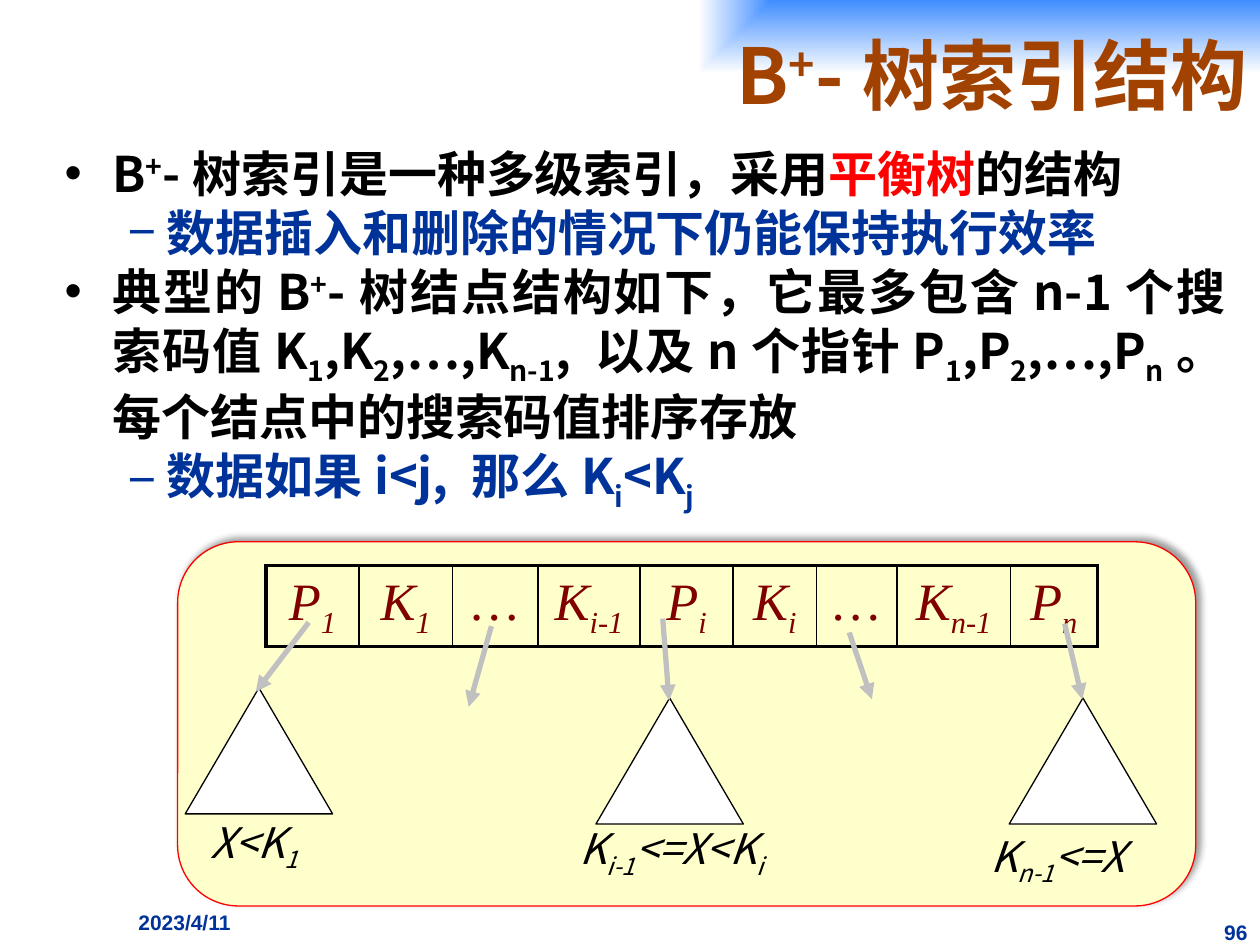
import pptx
import pptx.util
import pptx.dml.color
import pptx.enum.shapes
import pptx.enum.text
import pptx.oxml
import pptx.oxml.ns

SHAPE = pptx.enum.shapes.MSO_SHAPE
ALIGN = pptx.enum.text.PP_ALIGN
ANCHOR = pptx.enum.text.MSO_ANCHOR
AUTO_SIZE = pptx.enum.text.MSO_AUTO_SIZE
NAMESPACE = pptx.oxml.ns.nsdecls("a")

COLUMNS, ROWS = 100, 75
CELL = pptx.util.Inches(10) / COLUMNS

THEME = {
    "title": {"size": 44, "name": "Noto Sans CJK JP", "bold": True, "color": "A24200"},
    "body": {"size": 28, "name": "Noto Sans CJK JP", "bold": True, "color": "000000"},
    "detail": {"size": 28, "name": "Noto Sans CJK JP", "bold": True, "color": "003399"},
    "key": {"size": 30, "name": "Times New Roman", "italic": True, "color": "800000"},
    "range": {"size": 24, "name": "Noto Sans CJK SC", "italic": True, "color": "000000"},
    "footer": {"size": 12, "name": "Arial", "bold": True, "color": "003399"},
    "emphasis": "FF0000",
    "panel": "FFFFCC",
    "paper": "FFFFFF",
    "ink": "000000",
    "arrow": "C0C0C0",
    "banner": "3F8DFF",
}

# A run that starts with one of these marks departs from its paragraph's style.
BASELINES = {"^": "30000", "_": "-25000"}
VARIANTS = {"!": {"color": THEME["emphasis"]}, "~": {"name": "Noto Sans CJK SC"}}

BULLETS = [
    ("body", "B|^+|-树索引是一种多级索引，采用|!平衡树|的结构"),
    ("detail", "数据插入和删除的情况下仍能保持执行效率"),
    ("body", "典型的B|^+|-树结点结构如下，它最多包含n-1个搜索码值K|_1|,K|_2|,…,K|_n-1"
             "|, 以及n个指针P|_1|,P|_2|,…,P|_n|。每个结点中的搜索码值排序存放"),
    ("detail", "数据如果i<j, 那么K|_i|<K|_j"),
]
BULLET_FORMATS = {"body": (0, 0.38, -0.38, "•"), "detail": (1, 0.81, -0.31, "−")}

NODE_KEYS = ["P|_1", "K|_1", "…", "K|_i-1", "P|_i", "K|_i", "…", "K|_n-1", "P|_n"]
NODE_WIDTHS = [7.4, 7.4, 6.8, 8.1, 7.4, 6.6, 6.4, 9, 6.9]
SUBTREES = [(14.7, 54.6), (47.3, 55.4), (80.1, 55.4)]
RANGES = [
    ("X<K|_1", (15.7, 64.3, 14.2, 5)),
    ("K|_i-1|<=X<K|_i", (45, 64.8, 20.6, 5)),
    ("K|_n-1|<=X", (77.6, 65.4, 15.8, 5)),
]
POINTERS = [
    (24.5, 49.4, 20.3, 54.9),
    (52.6, 49.1, 53.1, 55.6),
    (84.5, 49.5, 85.9, 55.5),
    (39, 49.7, 37.2, 56.1),
    (67.4, 50.2, 69.2, 55.5),
]


def grid(*lengths):
    """Turn grid columns or rows into slide lengths."""
    return [round(length * CELL) for length in lengths]


def rgb(color):
    return pptx.dml.color.RGBColor.from_string(color)


def xml(markup):
    """Parse one element whose tag is in the drawing namespace."""
    tag_end = min(markup.find(mark) for mark in " />" if mark in markup)
    return pptx.oxml.parse_xml(f"{markup[:tag_end]} {NAMESPACE}{markup[tag_end:]}")


def format_run(run, style):
    values = dict(style)
    run.font.color.rgb = rgb(values.pop("color"))
    values["size"] = pptx.util.Pt(values["size"])
    for name, value in values.items():
        setattr(run.font, name, value)
    run.font._element.append(xml(f'<a:ea typeface="{style["name"]}"/>'))


def write(paragraph, text, style, **formats):
    """Fill a paragraph with runs separated by bars."""
    for name, value in formats.items():
        setattr(paragraph, name, value)
    for piece in text.split("|"):
        mark = piece[0]
        marked = mark in BASELINES or mark in VARIANTS
        run = paragraph.add_run()
        run.text = piece[1:] if marked else piece
        format_run(run, {**style, **VARIANTS.get(mark, {})})
        if mark in BASELINES:
            run.font._element.set("baseline", BASELINES[mark])


def add_text(slide, box, text, style, auto_size=AUTO_SIZE.NONE, **formats):
    frame = slide.shapes.add_textbox(*grid(*box)).text_frame
    frame.word_wrap = True
    frame.auto_size = auto_size
    write(frame.paragraphs[0], text, style, **formats)


def add_title(slide):
    title = slide.shapes.title
    title.left, title.top, title.width, title.height = grid(10.8, 0, 89.2, 11.7)
    title.text_frame.vertical_anchor = ANCHOR.MIDDLE
    title.text_frame.auto_size = AUTO_SIZE.NONE
    write(title.text_frame.paragraphs[0], "B|^+|-树索引|~结构", THEME["title"],
          alignment=ALIGN.RIGHT)
    stops = "".join(
        f'<a:gs pos="{position}"><a:srgbClr val="{color}"/></a:gs>'
        for position, color in ((0, THEME["banner"]), (100000, THEME["paper"])))
    title._element.spPr.append(xml(
        f'<a:gradFill><a:gsLst>{stops}</a:gsLst><a:path path="rect">'
        '<a:fillToRect l="100000" b="100000"/></a:path></a:gradFill>'))


def add_bullets(slide):
    frame = slide.shapes.add_textbox(*grid(4.15, 10.9, 94.1, 57)).text_frame
    frame.word_wrap = True
    for index, (kind, text) in enumerate(BULLETS):
        paragraph = frame.add_paragraph() if index else frame.paragraphs[0]
        level, margin, indent, symbol = BULLET_FORMATS[kind]
        properties = paragraph._p.get_or_add_pPr()
        properties.set("marL", str(pptx.util.Inches(margin)))
        properties.set("indent", str(pptx.util.Inches(indent)))
        for markup in (
                f'<a:buClr><a:srgbClr val="{THEME[kind]["color"]}"/></a:buClr>',
                '<a:buFont typeface="Arial"/>',
                f'<a:buChar char="{symbol}"/>'):
            properties.append(xml(markup))
        write(paragraph, text, THEME[kind], level=level, alignment=ALIGN.JUSTIFY)


def add_outlined(slide, kind, box, fill, line):
    shape = slide.shapes.add_shape(kind, *grid(*box))
    shape.shadow.inherit = False
    shape.fill.solid()
    shape.fill.fore_color.rgb = rgb(fill)
    shape.line.color.rgb = rgb(line)
    shape.line.width = pptx.util.Pt(0.75)
    return shape


def add_panel(slide):
    panel = add_outlined(slide, SHAPE.ROUNDED_RECTANGLE, (14.1, 43, 80.8, 28.9),
                         THEME["panel"], THEME["emphasis"])
    effects = panel._element.spPr.find(pptx.oxml.ns.qn("a:effectLst"))
    effects.append(xml(
        f'<a:outerShdw blurRad="{pptx.util.Pt(4)}" dist="{pptx.util.Pt(3)}" '
        f'dir="{315 * 60000}" algn="bl" rotWithShape="0">'
        f'<a:srgbClr val="{THEME["ink"]}"><a:alpha val="40000"/></a:srgbClr></a:outerShdw>'))


def add_border(cell, side, width):
    cell._tc.get_or_add_tcPr().append(xml(
        f'<a:{side} w="{pptx.util.Pt(width)}"><a:solidFill>'
        f'<a:srgbClr val="{THEME["ink"]}"/></a:solidFill></a:{side}>'))


def add_node(slide):
    """Draw the tree node as a one-row table with a heavy outer frame."""
    last = len(NODE_KEYS) - 1
    table = slide.shapes.add_table(
        1, len(NODE_KEYS), *grid(21.1, 44.9, sum(NODE_WIDTHS), 6.4)).table
    table.first_row = table.horz_banding = False
    for index, (text, width) in enumerate(zip(NODE_KEYS, NODE_WIDTHS)):
        table.columns[index].width = grid(width)[0]
        cell = table.cell(0, index)
        cell.margin_top = pptx.util.Inches(0.06)
        cell.margin_bottom = pptx.util.Inches(0.02)
        write(cell.text_frame.paragraphs[0], text, THEME["key"], alignment=ALIGN.CENTER)
        add_border(cell, "lnL", 1 if index else 2.25)
        add_border(cell, "lnR", 1 if index < last else 2.25)
        add_border(cell, "lnT", 2.25)
        add_border(cell, "lnB", 2.25)
        cell.fill.background()


def add_pointer(slide, ends):
    pointer = slide.shapes.add_connector(
        pptx.enum.shapes.MSO_CONNECTOR.STRAIGHT, *grid(*ends))
    pointer.line.color.rgb = rgb(THEME["arrow"])
    pointer.line.width = pptx.util.Pt(3)
    pointer.line._get_or_add_ln().append(xml('<a:tailEnd type="triangle"/>'))
    pointer._element.spPr.append(xml("<a:effectLst/>"))


def main():
    presentation = pptx.Presentation()
    presentation.slide_width, presentation.slide_height = grid(COLUMNS, ROWS)
    slide = presentation.slides.add_slide(presentation.slide_layouts[5])
    add_title(slide)
    add_text(slide, (10, 71.7, 17.5, 3.3), "2023/4/11", THEME["footer"])
    add_text(slide, (90, 72.5, 10, 2.5), "96", THEME["footer"], alignment=ALIGN.RIGHT)
    add_panel(slide)
    add_node(slide)
    for left, top in SUBTREES:
        add_outlined(slide, SHAPE.ISOSCELES_TRIANGLE, (left, top, 11.7, 10),
                     THEME["paper"], THEME["ink"])
    for text, box in RANGES:
        add_text(slide, box, text, THEME["range"], AUTO_SIZE.SHAPE_TO_FIT_TEXT)
    for ends in POINTERS:
        add_pointer(slide, ends)
    add_bullets(slide)
    presentation.save("out.pptx")


if __name__ == "__main__":
    main()
